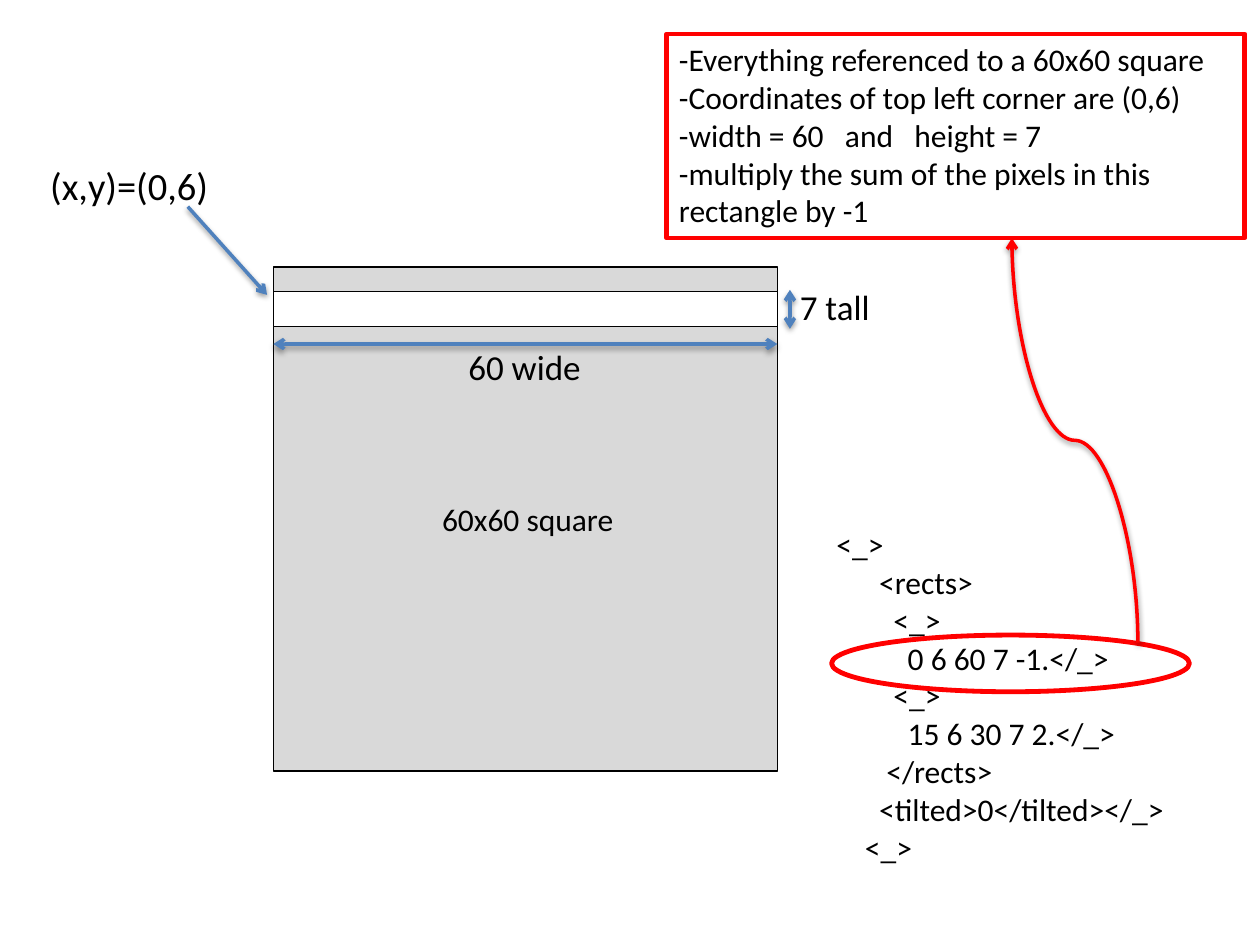
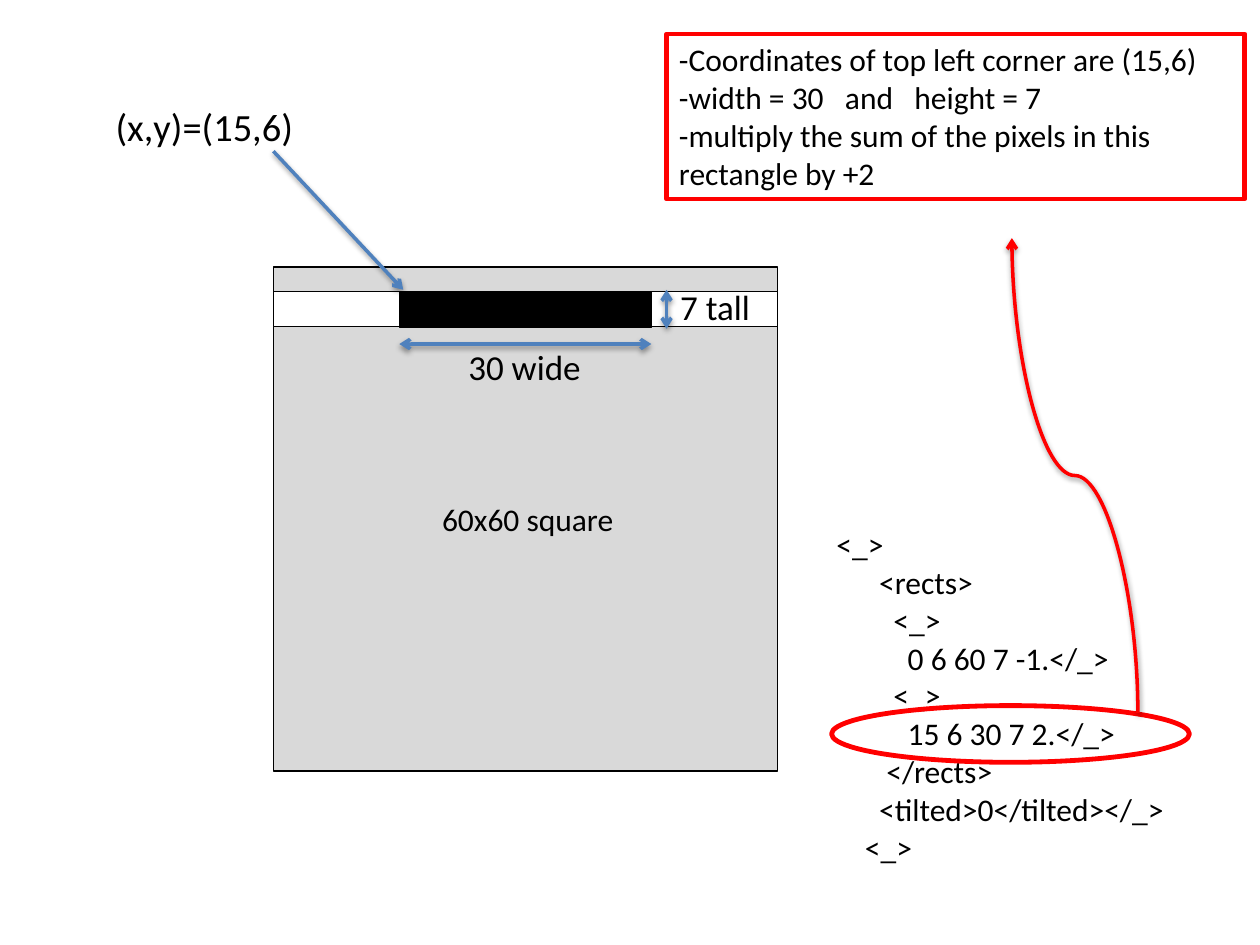
import pptx
import pptx.util
import pptx.dml.color
import pptx.enum.shapes
import pptx.enum.text
import pptx.oxml
import pptx.oxml.ns
from lxml import etree

Pt = pptx.util.Pt
RGB = pptx.dml.color.RGBColor
SHAPE = pptx.enum.shapes.MSO_SHAPE
CONNECTOR = pptx.enum.shapes.MSO_CONNECTOR

BLACK = RGB(0x00, 0x00, 0x00)
WHITE = RGB(0xFF, 0xFF, 0xFF)
GREY = RGB(0xD9, 0xD9, 0xD9)
BLUE = RGB(0x4F, 0x81, 0xBD)
RED = RGB(0xFF, 0x00, 0x00)
FONT = "Calibri"
SPACE_WIDTH = 4.07  # one indent step of the code, in points

# The 60x60 detection window and the strip that holds the rectangles
WINDOW_LEFT, WINDOW_TOP, WINDOW_SIDE = 156.2, 152.6, 288
UNIT = WINDOW_SIDE / 60
STRIP_TOP, STRIP_HEIGHT = 166.4, 20.2
WIDTH_ARROW_Y = 196.6

# Cascade file: indent steps and text of each line
CODE = [
    (0, "<_>"),
    (6, "<rects>"),
    (8, "<_>"),
    (10, "0 6 60 7 -1.</_>"),
    (8, "<_>"),
    (10, "15 6 30 7 2.</_>"),
    (7, "</rects>"),
    (6, "<tilted>0</tilted></_>"),
    (4, "<_>"),
]

SHADOW = (
    '<a:effectLst xmlns:a="http://schemas.openxmlformats.org/drawingml/2006/main">'
    '<a:outerShdw blurRad="39370" dist="20320" dir="5400000" rotWithShape="0">'
    '<a:srgbClr val="000000"><a:alpha val="38000"/></a:srgbClr>'
    '</a:outerShdw></a:effectLst>'
)


class Sketch:
    """Draws the elements of the current slide in one style."""

    def __init__(self, deck):
        self.deck = deck
        self.slide = None

    def new_slide(self):
        self.slide = self.deck.slides.add_slide(self.deck.slide_layouts[6])

    def fill_text(self, frame, lines, size):
        frame.text = "\n".join(lines)
        for paragraph in frame.paragraphs:
            paragraph.alignment = pptx.enum.text.PP_ALIGN.LEFT
            for run in paragraph.runs:
                run.font.name = FONT
                run.font.size = Pt(size)
                run.font.color.rgb = BLACK

    def label(self, left, top, width, height, lines, size):
        box = self.slide.shapes.add_textbox(Pt(left), Pt(top), Pt(width), Pt(height))
        box.text_frame.word_wrap = False
        box.text_frame.auto_size = pptx.enum.text.MSO_AUTO_SIZE.SHAPE_TO_FIT_TEXT
        self.fill_text(box.text_frame, lines, size)
        return box

    def code(self, left, top, width, height):
        listing = self.label(left, top, width, height, [text for _, text in CODE], 18)
        for paragraph, (steps, _) in zip(listing.text_frame.paragraphs, CODE):
            properties = paragraph._p.get_or_add_pPr()
            properties.set("marL", str(int(Pt(steps * SPACE_WIDTH))))
            properties.set("indent", "0")

    def shape(self, kind, left, top, width, height, fill=None, line=BLACK, weight=0.75):
        figure = self.slide.shapes.add_shape(
            kind, Pt(left), Pt(top), Pt(width), Pt(height))
        figure.shadow.inherit = False
        if fill is None:
            figure.fill.background()
        else:
            figure.fill.solid()
            figure.fill.fore_color.rgb = fill
        figure.line.color.rgb = line
        figure.line.width = Pt(weight)
        return figure

    def note(self, left, top, width, height, lines):
        frame = self.shape(SHAPE.RECTANGLE, left, top, width, height,
                           line=RED, weight=2.75).text_frame
        frame.word_wrap = True
        frame.vertical_anchor = pptx.enum.text.MSO_ANCHOR.TOP
        self.fill_text(frame, lines, 18)

    def arrow(self, start, end, color=BLUE, both=False, kind=CONNECTOR.STRAIGHT):
        line = self.slide.shapes.add_connector(
            kind, Pt(start[0]), Pt(start[1]), Pt(end[0]), Pt(end[1]))
        line.line.color.rgb = color
        line.line.width = Pt(2)
        outline = line._element.spPr.find(pptx.oxml.ns.qn("a:ln"))
        for tag in (["a:headEnd"] if both else []) + ["a:tailEnd"]:
            etree.SubElement(outline, pptx.oxml.ns.qn(tag), type="arrow")
        line._element.spPr.append(pptx.oxml.parse_xml(SHADOW))
        return line

    def rising_curve(self, start, end):
        """S-curve leaving start upwards: a flat curve turned by 270 degrees."""
        middle_x, middle_y = (start[0] + end[0]) / 2, (start[1] + end[1]) / 2
        half_rise, half_run = (start[1] - end[1]) / 2, (start[0] - end[0]) / 2
        curve = self.arrow((middle_x - half_rise, middle_y + half_run),
                           (middle_x + half_rise, middle_y - half_run),
                           RED, kind=CONNECTOR.CURVE)
        transform = curve._element.spPr.find(pptx.oxml.ns.qn("a:xfrm"))
        transform.set("rot", str(270 * 60000))

    def rectangle_slide(self, x, width, corner_label, corner_arrow, tall_x,
                        tall_label_left, ring_top, note_height, facts, filled):
        """Explains one weighted rectangle of the feature."""
        left = WINDOW_LEFT + x * UNIT
        right = left + width * UNIT
        self.new_slide()
        self.code(470.9, 296.6, 203, 203.8)

        # Window and strip
        self.shape(SHAPE.RECTANGLE, WINDOW_LEFT, WINDOW_TOP,
                   WINDOW_SIDE, WINDOW_SIDE, GREY)
        self.label(245.5, 282.2, 113.8, 28.8, ["60x60 square"], 18)
        self.shape(SHAPE.RECTANGLE, WINDOW_LEFT, STRIP_TOP,
                   WINDOW_SIDE, STRIP_HEIGHT, WHITE)

        # Corner, width and height
        self.label(*corner_label, 33.8, [f"(x,y)=({x},6)"], 22)
        self.arrow(*corner_arrow)
        self.arrow((left, WIDTH_ARROW_Y), (right, WIDTH_ARROW_Y), both=True)
        self.label(260.6, 193.7, 79.2, 31.7, [f"{width} wide"], 20)
        self.arrow((tall_x, 165.6), (tall_x, 187.9), both=True)
        self.label(tall_label_left, 159.8, 54.7, 31.7, ["7 tall"], 20)

        # Ringed code line and its explanation
        self.shape(SHAPE.OVAL, 475.2, ring_top, 204.5, 32.4, line=RED, weight=2.75)
        self.rising_curve((650.2, ring_top + 4.3), (578.2, 136.1))
        self.note(380.9, 19.4, 330.5, note_height, facts)
        if filled:
            self.shape(SHAPE.RECTANGLE, left, STRIP_TOP + 0.4,
                       width * UNIT, STRIP_HEIGHT, BLACK)


deck = pptx.Presentation()
deck.slide_width, deck.slide_height = Pt(720), Pt(540)
sketch = Sketch(deck)

# Slide 1: the whole strip, weight -1
sketch.rectangle_slide(
    x=0, width=60,
    corner_label=(21.6, 89.3, 105.8), corner_arrow=((107.3, 118.1), (152.6, 168.5)),
    tall_x=451.4, tall_label_left=450, ring_top=362.9, note_height=116.6,
    facts=["-Everything referenced to a 60x60 square",
           "-Coordinates of top left corner are (0,6)",
           "-width = 60   and   height = 7 ",
           "-multiply the sum of the pixels in this rectangle by -1"],
    filled=False)

# Slide 2: the middle of the strip, weight +2
sketch.rectangle_slide(
    x=15, width=30,
    corner_label=(59, 55.4, 117.4), corner_arrow=((156.2, 86.4), (230.4, 165.6)),
    tall_x=380.9, tall_label_left=381.6, ring_top=403.2, note_height=94.3,
    facts=["-Coordinates of top left corner are (15,6)",
           "-width = 30   and   height = 7 ",
           "-multiply the sum of the pixels in this rectangle by +2"],
    filled=True)

deck.save("out.pptx")
